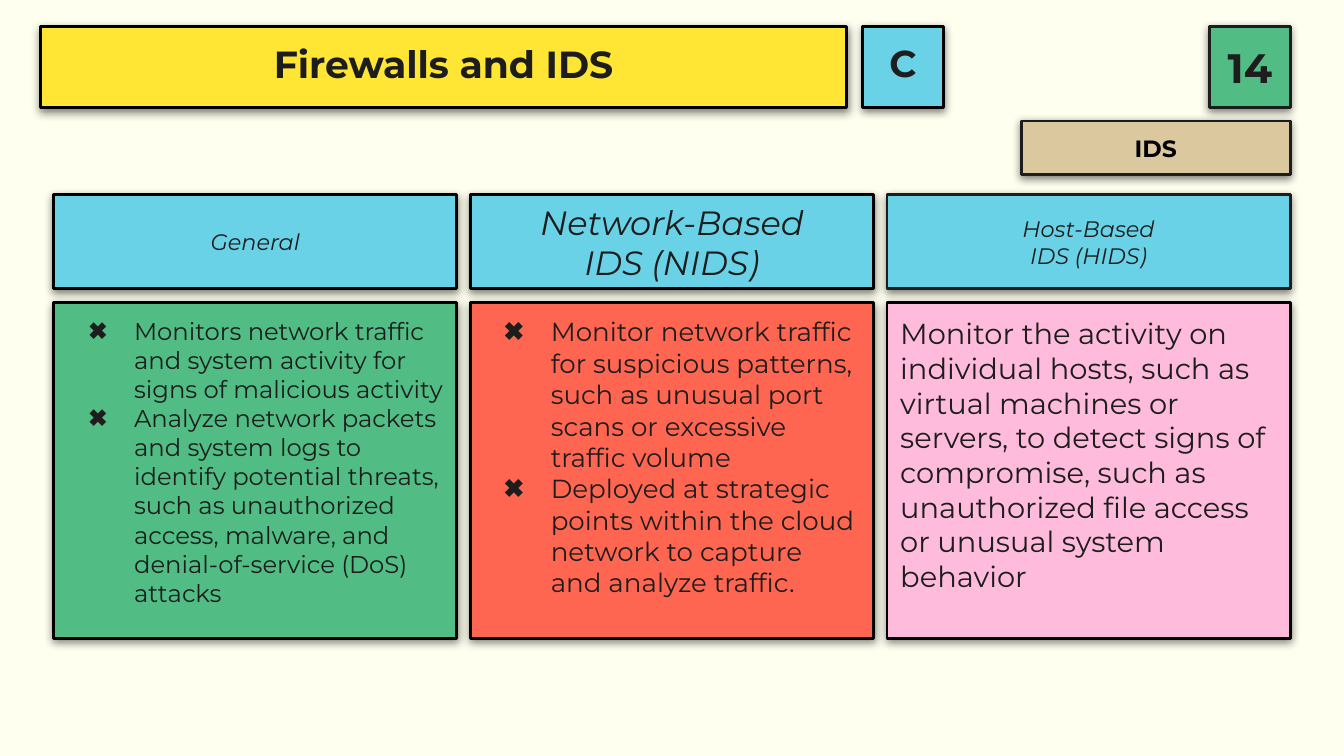
import copy
from dataclasses import dataclass

import pptx
import pptx.dml.color
import pptx.enum.shapes
import pptx.enum.text
import pptx.oxml
import pptx.oxml.ns
import pptx.util
from pptx.util import Inches

ALIGN = pptx.enum.text.PP_ALIGN
ANCHOR = pptx.enum.text.MSO_ANCHOR
qn = pptx.oxml.ns.qn


@dataclass(frozen=True)
class Theme:
    font: str = "Montserrat"
    background: str = "FFFFF0"
    ink: str = "1D1D1D"
    black: str = "000000"
    yellow: str = "FFE534"
    blue: str = "6AD2E6"
    green: str = "51BD85"
    red: str = "FF6652"
    pink: str = "FFBBDC"
    tan: str = "DBC89F"
    title_size: float = 20.2
    letter_size: float = 20
    number_size: float = 22
    topic_size: float = 12.6


THEME = Theme()

SHADOW = (
    '<a:outerShdw %s blurRad="57150" dist="19050" dir="5400000" algn="bl" rotWithShape="0">'
    '<a:srgbClr val="000000"><a:alpha val="50000"/></a:srgbClr></a:outerShdw>'
    % pptx.oxml.ns.nsdecls("a")
)


def rgb(value):
    return pptx.dml.color.RGBColor.from_string(value)


def add_bullet(paragraph, hanging):
    properties = paragraph._p.get_or_add_pPr()
    properties.set("marL", str(Inches(0.5)))
    properties.set("indent", str(-Inches(hanging)))
    for xml in (
        f'<a:buClr %s><a:srgbClr val="{THEME.ink}"/></a:buClr>',
        f'<a:buFont %s typeface="{THEME.font}"/>',
        '<a:buChar %s char="✖"/>',
    ):
        properties.append(pptx.oxml.parse_xml(xml % pptx.oxml.ns.nsdecls("a")))


def style_card(card, box, fill, border=THEME.black):
    """Place a card and give it its fill, outline and soft shadow."""
    card.left, card.top, card.width, card.height = (Inches(v) for v in box)
    card.fill.solid()
    card.fill.fore_color.rgb = rgb(fill)
    card.line.color.rgb = rgb(border)
    card.line.width = pptx.util.Pt(1.5)
    card.shadow.inherit = False
    effects = card._element.spPr.find(qn("a:effectLst"))
    effects.append(pptx.oxml.parse_xml(SHADOW))


def write(card, texts, size, align=ALIGN.CENTER, anchor=ANCHOR.MIDDLE,
          color=THEME.ink, bold=False, italic=False, spacing=None, hanging=None,
          right_margin=0.1):
    frame = card.text_frame
    frame_format = {
        "word_wrap": True, "vertical_anchor": anchor,
        "auto_size": pptx.enum.text.MSO_AUTO_SIZE.NONE,
        **{f"margin_{side}": Inches(0.1) for side in ("left", "top", "bottom")},
        "margin_right": Inches(right_margin),
    }
    for name, value in frame_format.items():
        setattr(frame, name, value)
    font_format = {"name": THEME.font, "size": pptx.util.Pt(size),
                   "bold": bold, "italic": italic}
    for number, text in enumerate(texts):
        paragraph = frame.add_paragraph() if number else frame.paragraphs[0]
        paragraph.text = text
        paragraph.alignment = align
        if spacing:
            paragraph.line_spacing = spacing
        if hanging:
            add_bullet(paragraph, hanging)
        for run in paragraph.runs:
            for name, value in font_format.items():
                setattr(run.font, name, value)
            run.font.color.rgb = rgb(color)
        # Line breaks take the same type size as the text around them
        for line_break in paragraph._p.findall(qn("a:br")):
            line_break.append(copy.deepcopy(paragraph.runs[0]._r.rPr))


def add_card(slide, box, fill, texts, size, border=THEME.black, **text_format):
    rectangle = pptx.enum.shapes.MSO_SHAPE.RECTANGLE
    card = slide.shapes.add_shape(rectangle, *(Inches(v) for v in box))
    style_card(card, box, fill, border)
    write(card, texts, size, **text_format)


def add_header(slide, left, top, width):
    """Title bar, section letter, slide number and topic tag."""
    side = 0.6
    right = left + width
    heading = {"bold": True, "spacing": 0.8}
    style_card(slide.shapes.title, (left, top, 6, side), THEME.yellow)
    write(slide.shapes.title, ["Firewalls and IDS"], THEME.title_size, **heading)
    add_card(slide, (left + 6.12, top, side, side), THEME.blue, ["C"],
             THEME.letter_size, **heading)
    add_card(slide, (right - side, top, side, side), THEME.green, ["14"],
             THEME.number_size, border=THEME.ink, bold=True)
    add_card(slide, (right - 2, top + 0.7, 2, 0.4), THEME.tan, ["IDS"],
             THEME.topic_size, border=THEME.ink, color=THEME.black, bold=True)


def add_column(slide, left, top, width, column):
    """A heading card with a body card below it."""
    heading_height, gap, body_height = 0.7, 0.1, 2.5
    add_card(slide, (left, top, width, heading_height), THEME.blue,
             [column["heading"]], column["heading_size"],
             border=column["border"], italic=True)
    add_card(slide, (left, top + heading_height + gap, width, body_height),
             column["fill"], column["body"], column["body_size"],
             align=ALIGN.LEFT, anchor=ANCHOR.TOP, hanging=column["hanging"],
             right_margin=column["right_margin"])


COLUMNS = [
    {
        "heading": "General", "heading_size": 12, "border": THEME.black,
        "fill": THEME.green, "body_size": 13, "hanging": 0.34, "right_margin": 0.1,
        "body": [
            "Monitors network traffic and system activity for signs of malicious activity",
            "Analyze network packets and system logs to identify potential threats, "
            "such as unauthorized access, malware, and denial-of-service (DoS) attacks",
        ],
    },
    {
        "heading": "Network-Based\vIDS (NIDS)", "heading_size": 18, "border": THEME.black,
        "fill": THEME.red, "body_size": 14, "hanging": 0.35, "right_margin": 0.12,
        "body": [
            "Monitor network traffic for suspicious patterns, such as unusual port "
            "scans or excessive traffic volume",
            "Deployed at strategic points within the cloud network to capture and "
            "analyze traffic.",
        ],
    },
    {
        "heading": "Host-Based\vIDS (HIDS)", "heading_size": 12, "border": THEME.ink,
        "fill": THEME.pink, "body_size": 15.5, "hanging": None, "right_margin": 0.1,
        "body": [
            "Monitor the activity on individual hosts, such as virtual machines or "
            "servers, to detect signs of compromise, such as unauthorized file access "
            "or unusual system behavior",
        ],
    },
]


def main():
    deck = pptx.Presentation()
    # Widescreen, 16:9
    deck.slide_width = Inches(10)
    deck.slide_height = deck.slide_width * 9 // 16
    slide = deck.slides.add_slide(deck.slide_layouts[5])
    slide.background.fill.solid()
    slide.background.fill.fore_color.rgb = rgb(THEME.background)

    add_header(slide, 0.3, 0.2, 9.3)
    width, gap = 3, 0.1
    for number, column in enumerate(COLUMNS):
        add_column(slide, 0.4 + number * (width + gap), 1.45, width, column)

    deck.save("out.pptx")


if __name__ == "__main__":
    main()
